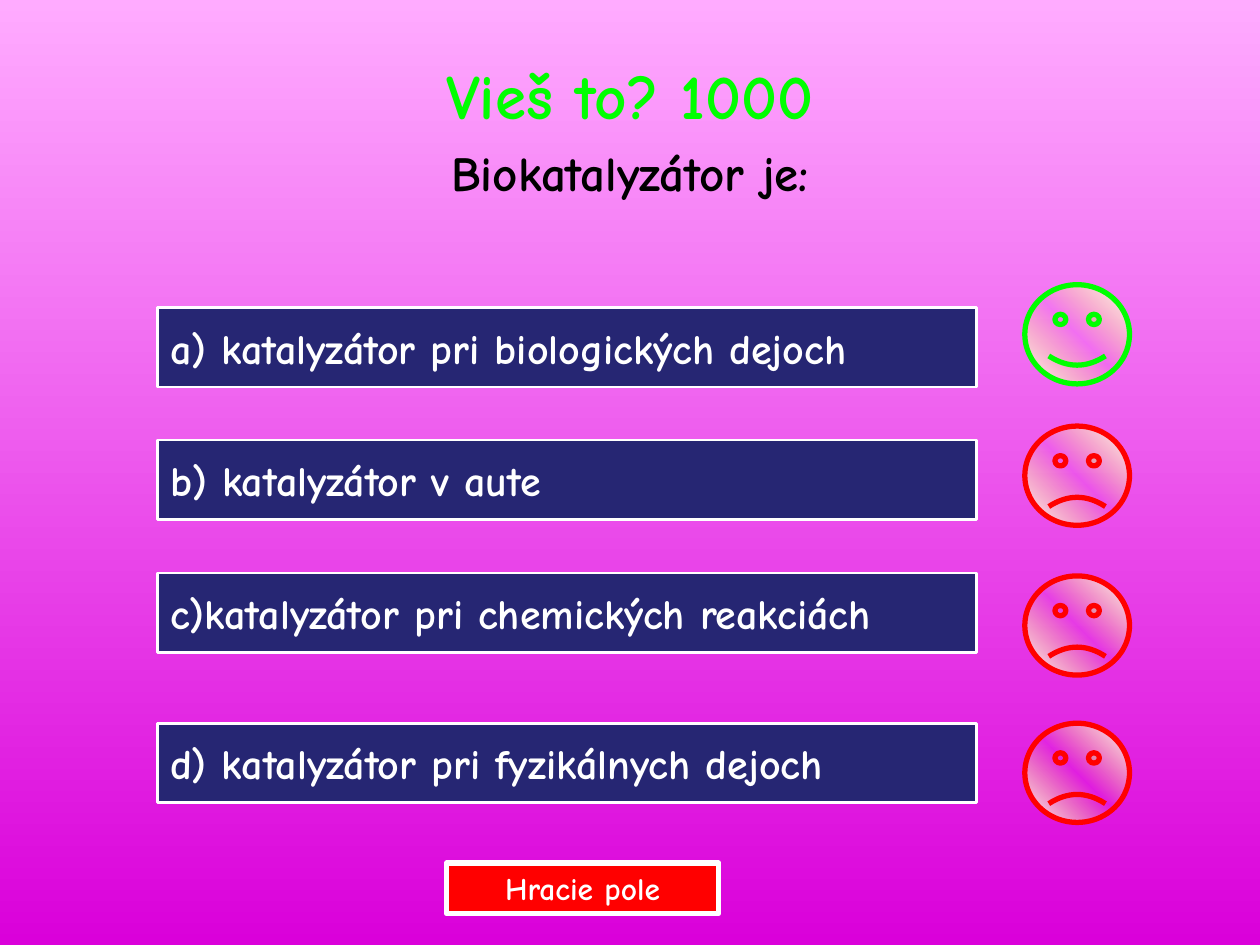
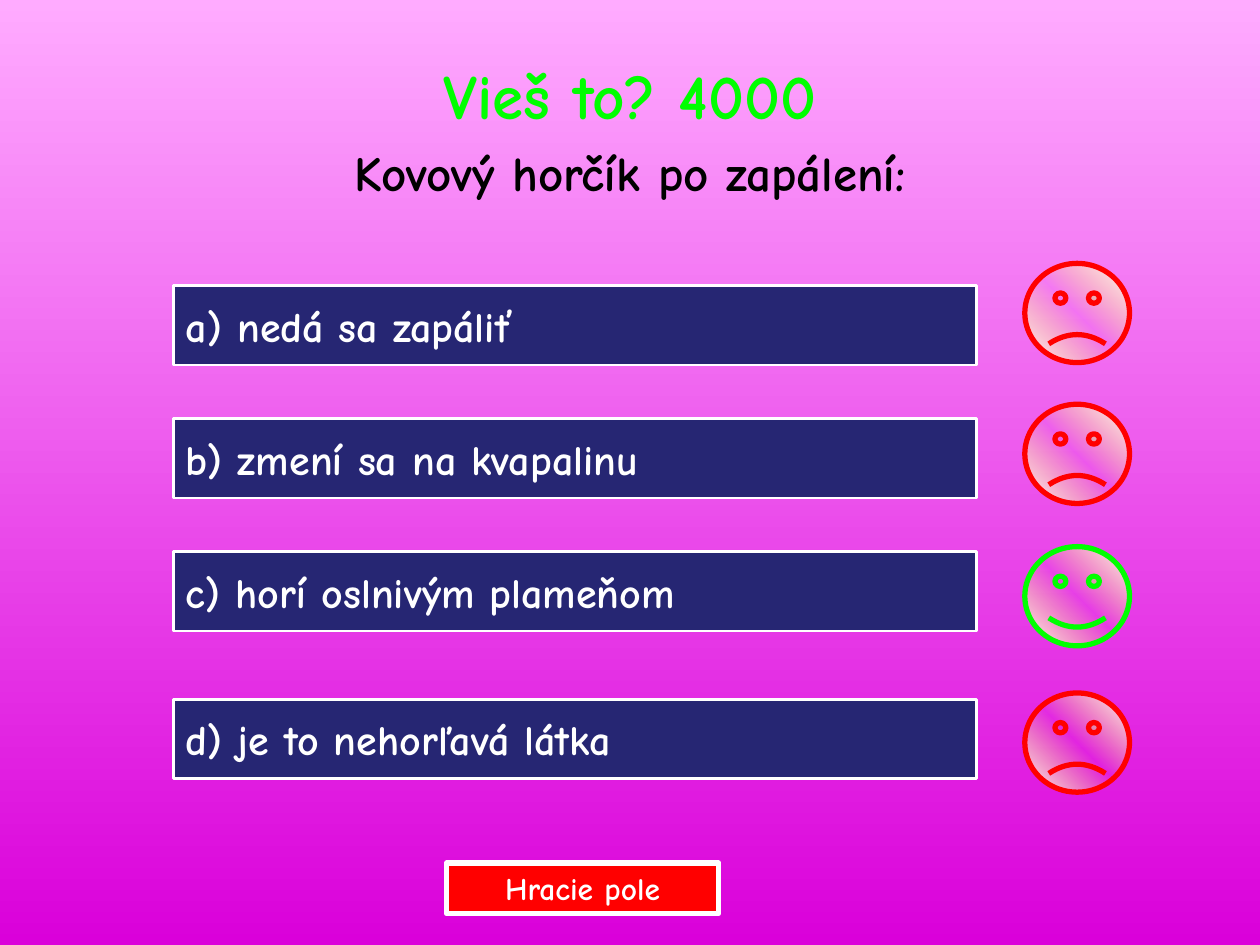
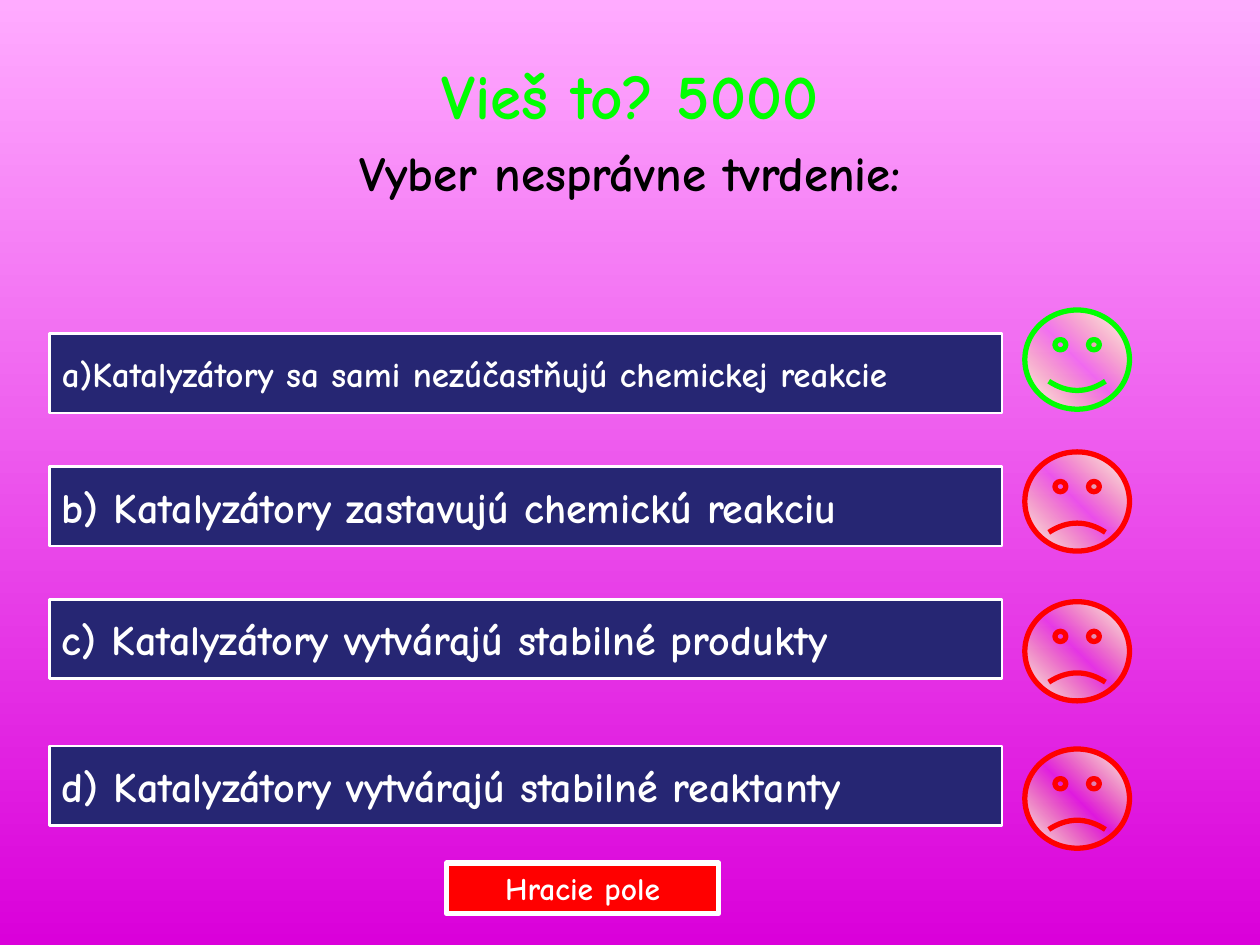
import dataclasses

import lxml.etree
import pptx
import pptx.dml.color
import pptx.enum.shapes
import pptx.enum.text
import pptx.oxml
import pptx.oxml.ns
import pptx.util

Cm = pptx.util.Cm
Pt = pptx.util.Pt
RGBColor = pptx.dml.color.RGBColor
MSO_SHAPE = pptx.enum.shapes.MSO_SHAPE
PP_ALIGN = pptx.enum.text.PP_ALIGN
MSO_ANCHOR = pptx.enum.text.MSO_ANCHOR


@dataclasses.dataclass(frozen=True)
class Theme:
    font: str = "Comic Neue"
    background_top: str = "FFABFF"
    background_bottom: str = "DA00DA"
    title: str = "00FF00"
    question: str = "000000"
    bar: str = "262673"
    light: str = "FFFFFF"
    right: str = "00FF00"
    wrong: str = "FF0000"
    button: str = "FF0000"
    face_edge: str = "FFFFFF"
    face_middle: str = "FFFF66"
    title_size: float = 36
    question_size: float = 28
    answer_size: float = 24
    long_answer_size: float = 20
    button_size: float = 18
    thin_line: float = 1.5
    thick_line: float = 3


THEME = Theme()

BUTTON_TEXT = "Hracie pole"
LONG_ANSWER = 45

QUIZ = [
    {
        "title": "Vieš to? 1000",
        "question": "Biokatalyzátor je:",
        "answers": [
            "a) katalyzátor pri biologických dejoch",
            "b) katalyzátor v aute",
            "c)katalyzátor pri chemických reakciách",
            "d) katalyzátor pri fyzikálnych dejoch",
        ],
        "correct": 0,
        "bar_left": 3.18,
        "bar_right": 19.69,
        "bar_tops": [6.2, 8.87, 11.55, 14.58],
        "face_tops": [5.74, 8.59, 11.61, 14.58],
    },
    {
        "title": "Vieš to? 4000",
        "question": "Kovový horčík po zapálení:",
        "answers": [
            "a) nedá sa zapáliť",
            "b) zmení sa na kvapalinu",
            "c) horí oslnivým plameňom",
            "d) je to nehorľavá látka",
        ],
        "correct": 2,
        "bar_left": 3.5,
        "bar_right": 19.69,
        "bar_tops": [5.76, 8.44, 11.12, 14.1],
        "face_tops": [5.31, 8.15, 11.02, 13.97],
    },
    {
        "title": "Vieš to? 5000",
        "question": "Vyber nesprávne tvrdenie:",
        "answers": [
            "a)Katalyzátory sa sami nezúčastňujú chemickej reakcie",
            "b) Katalyzátory zastavujú chemickú reakciu",
            "c) Katalyzátory vytvárajú stabilné produkty",
            "d) Katalyzátory vytvárajú stabilné reaktanty",
        ],
        "correct": 0,
        "bar_left": 1,
        "bar_right": 20.2,
        "bar_tops": [6.73, 9.41, 12.08, 15.04],
        "face_tops": [6.25, 9.11, 12.13, 15.1],
    },
]

HEADING_BOX = (1, 1.02, 23.4, 1.9)
BUTTON_BOX = (9, 17.4, 5.49, 1.02)
BAR_HEIGHT = 1.6
FACE_LEFT, FACE_WIDTH, FACE_HEIGHT = 20.66, 2.11, 2
SMILE = 0.047


def color(value):
    return RGBColor.from_string(value)


def add_run(paragraph, text, size, text_color):
    run = paragraph.add_run()
    run.text = text
    run.font.name = THEME.font
    run.font.size = Pt(size)
    run.font.bold = True
    run.font.color.rgb = color(text_color)


def add_outlined_shape(slide, kind, box, line_color, line_width):
    shape = slide.shapes.add_shape(kind, *map(Cm, box))
    shape.shadow.inherit = False
    shape.line.color.rgb = color(line_color)
    shape.line.width = Pt(line_width)
    return shape


def add_label(slide, box, text, size, fill, line_width, alignment):
    shape = add_outlined_shape(
        slide, MSO_SHAPE.ACTION_BUTTON_CUSTOM, box, THEME.light, line_width
    )
    shape.fill.solid()
    shape.fill.fore_color.rgb = color(fill)
    frame = shape.text_frame
    frame.word_wrap = False
    frame.vertical_anchor = MSO_ANCHOR.MIDDLE
    paragraph = frame.paragraphs[0]
    paragraph.alignment = alignment
    add_run(paragraph, text, size, THEME.light)


def face_gradient():
    stops = [(0, THEME.face_edge, 100), (50, THEME.face_middle, 0), (100, THEME.face_edge, 100)]
    stop_xml = "".join(
        f'<a:gs pos="{position * 1000}"><a:srgbClr val="{value}">'
        f'<a:alpha val="{opacity * 1000}"/></a:srgbClr></a:gs>'
        for position, value, opacity in stops
    )
    return pptx.oxml.parse_xml(
        f'<a:gradFill {pptx.oxml.ns.nsdecls("a")} rotWithShape="1">'
        f'<a:gsLst>{stop_xml}</a:gsLst><a:lin ang="{315 * 60000}" scaled="1"/></a:gradFill>'
    )


def add_face(slide, top, is_correct):
    box = (FACE_LEFT, top, FACE_WIDTH, FACE_HEIGHT)
    line_color = THEME.right if is_correct else THEME.wrong
    face = add_outlined_shape(slide, MSO_SHAPE.SMILEY_FACE, box, line_color, THEME.thick_line)
    face.adjustments[0] = SMILE if is_correct else -SMILE
    face.fill.background()
    properties = face._element.spPr
    no_fill = properties.find(pptx.oxml.ns.qn("a:noFill"))
    properties.replace(no_fill, face_gradient())


def add_heading(slide, title, question):
    frame = slide.shapes.add_textbox(*map(Cm, HEADING_BOX)).text_frame
    frame.word_wrap = True
    title_paragraph = frame.paragraphs[0]
    question_paragraph = frame.add_paragraph()
    question_paragraph.space_before = Pt(THEME.question_size * 0.2)
    add_run(title_paragraph, title, THEME.title_size, THEME.title)
    add_run(question_paragraph, question, THEME.question_size, THEME.question)
    for paragraph in frame.paragraphs:
        paragraph.alignment = PP_ALIGN.CENTER


def add_quiz_slide(presentation, quiz):
    slide = presentation.slides.add_slide(presentation.slide_layouts[6])
    add_heading(slide, quiz["title"], quiz["question"])
    bar_width = quiz["bar_right"] - quiz["bar_left"]
    rows = zip(quiz["answers"], quiz["bar_tops"], quiz["face_tops"])
    for index, (answer, bar_top, face_top) in enumerate(rows):
        size = THEME.long_answer_size if len(answer) > LONG_ANSWER else THEME.answer_size
        box = (quiz["bar_left"], bar_top, bar_width, BAR_HEIGHT)
        add_label(slide, box, answer, size, THEME.bar, THEME.thin_line, PP_ALIGN.LEFT)
        add_face(slide, face_top, index == quiz["correct"])
    add_label(
        slide, BUTTON_BOX, BUTTON_TEXT, THEME.button_size,
        THEME.button, THEME.thick_line, PP_ALIGN.CENTER,
    )


def set_background(master):
    fill = master.background.fill
    fill.gradient()
    fill.gradient_angle = 270
    for stop, value in zip(fill.gradient_stops, (THEME.background_top, THEME.background_bottom)):
        stop.color.rgb = color(value)


def main():
    presentation = pptx.Presentation()
    presentation.slide_width = Cm(25.4)
    presentation.slide_height = Cm(19.05)
    set_background(presentation.slide_master)
    for quiz in QUIZ:
        add_quiz_slide(presentation, quiz)
    presentation.save("out.pptx")


if __name__ == "__main__":
    main()
